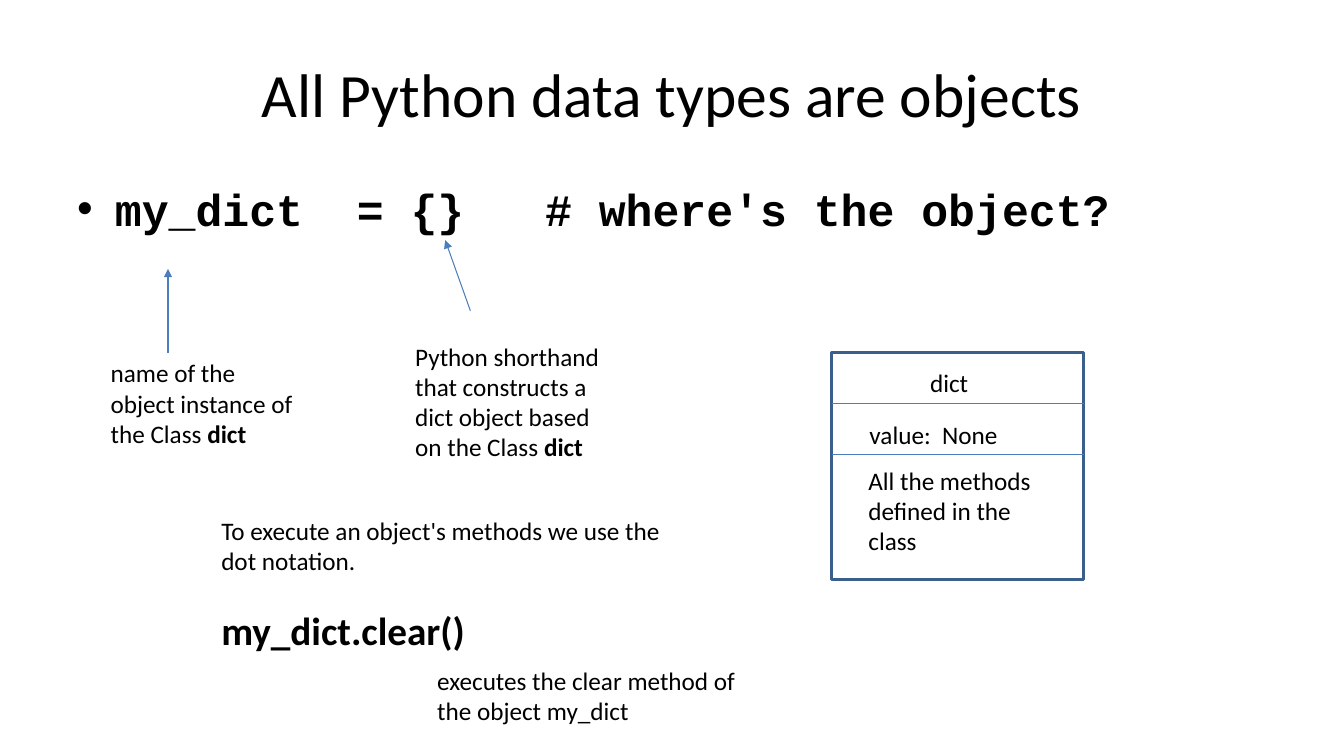
"""Build a slide showing that Python data types are objects."""
from dataclasses import dataclass

from lxml.etree import SubElement
from pptx import Presentation
from pptx.dml.color import RGBColor
from pptx.enum.shapes import MSO_CONNECTOR, MSO_SHAPE
from pptx.enum.text import MSO_ANCHOR, PP_ALIGN
from pptx.oxml.ns import qn
from pptx.util import Pt


@dataclass(frozen=True)
class Theme:
    ink: RGBColor = RGBColor(0x00, 0x00, 0x00)
    line: RGBColor = RGBColor(0x4B, 0x7E, 0xBC)
    border: RGBColor = RGBColor(0x3A, 0x5F, 0x8C)
    font: str = "Calibri"
    code_font: str = "Courier New"
    title_size: int = 44
    code_size: int = 32
    call_size: int = 28
    note_size: int = 18


theme = Theme()
prs = Presentation()
prs.slide_width, prs.slide_height = Pt(960), Pt(540)
slide = prs.slides.add_slide(prs.slide_layouts[6])


def add_text(left, top, width, height, text, bold_end="", size=theme.note_size,
             font=theme.font, align=PP_ALIGN.LEFT, wrap=True):
    box = slide.shapes.add_textbox(Pt(left), Pt(top), Pt(width), Pt(height))
    frame = box.text_frame
    frame.text = text
    frame.word_wrap = wrap
    paragraph = frame.paragraphs[0]
    paragraph.alignment = align
    if bold_end:
        ending = paragraph.add_run()
        ending.text = bold_end
        ending.font.bold = True
    for run in paragraph.runs:
        run.font.size = Pt(size)
        run.font.name = font
        run.font.color.rgb = theme.ink
    return frame


def add_line(x1, y1, x2, y2, arrow=False):
    line = slide.shapes.add_connector(
        MSO_CONNECTOR.STRAIGHT, Pt(x1), Pt(y1), Pt(x2), Pt(y2))
    line.line.color.rgb = theme.line
    line.line.width = Pt(0.75)
    if arrow:
        SubElement(line.line._get_or_add_ln(), qn("a:tailEnd"), type="triangle")
    SubElement(line._element.spPr, qn("a:effectLst"))


title = add_text(48, 21.6, 864, 90, "All Python data types are objects",
                 size=theme.title_size, align=PP_ALIGN.CENTER)
title.vertical_anchor = MSO_ANCHOR.MIDDLE

code = add_text(48, 126, 864, 90, "my_dict  = {}   # where's the object?",
                size=theme.code_size, font=theme.code_font)
statement = code.paragraphs[0]
statement.runs[0].font.bold = True
statement.space_before = Pt(theme.code_size * 0.2)
bullet_format = statement._p.get_or_add_pPr()
bullet_format.set("marL", str(Pt(27)))
bullet_format.set("indent", str(Pt(-27)))
SubElement(bullet_format, qn("a:buFont"), typeface="Arial")
SubElement(bullet_format, qn("a:buChar"), char="•")

add_text(72, 252, 150, 72.7, "name of the object instance of the Class ", "dict")
add_line(120, 252, 120, 192, arrow=True)
add_text(289.5, 240, 150, 94.5,
         "Python shorthand that constructs a dict object based on the Class ", "dict")
add_line(336, 222, 318, 171.5, arrow=True)

card_left, card_top, card_width = 594, 252, 180
card = slide.shapes.add_shape(
    MSO_SHAPE.RECTANGLE, Pt(card_left), Pt(card_top), Pt(card_width), Pt(162))
card.shadow.inherit = False
card.fill.background()
card.line.color.rgb = theme.border
card.line.width = Pt(2)
for row in (1, 2):
    divider_y = card_top + row * 36.3
    add_line(card_left, divider_y, card_left + card_width, divider_y)
add_text(597, 258.5, 162, 29, "dict", align=PP_ALIGN.CENTER)
add_text(614, 296, 107.5, 29, "value:  None", wrap=False)
add_text(613.2, 328.5, 145.5, 72.7, "All the methods defined in the class")

usage = add_text(151, 364.5, 330, 106.5,
                 "To execute an object's methods we use the dot notation.")
call = usage.add_paragraph()
call.text = "my_dict.clear()"
call.space_before = Pt(22)
call_font = call.runs[0].font
call_font.size = Pt(theme.call_size)
call_font.name = theme.font
call_font.bold = True
call_font.color.rgb = theme.ink
add_text(305.2, 471.5, 242.5, 51, "executes the clear method of the object my_dict")

prs.save("out.pptx")
